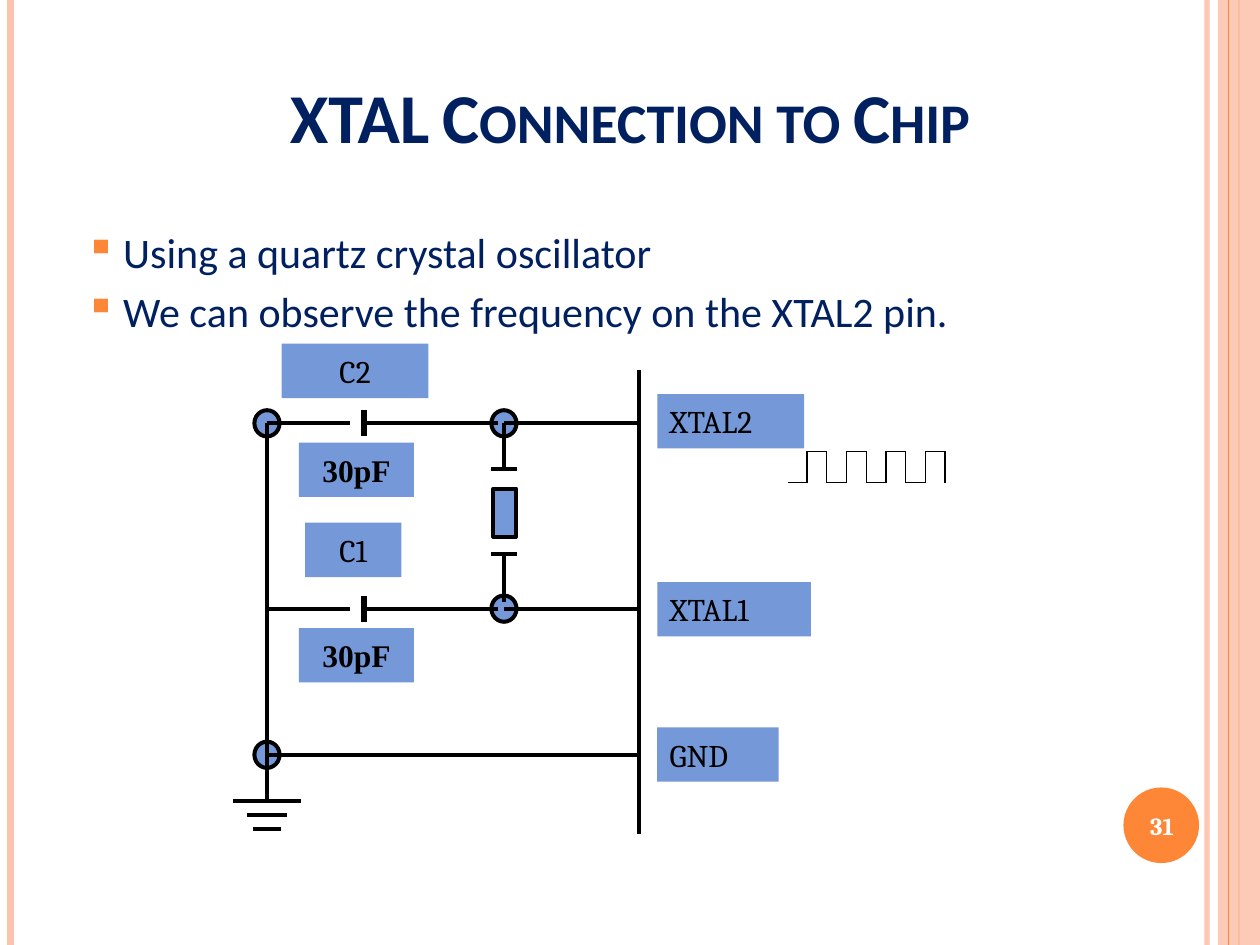
import pptx
import pptx.util
import pptx.dml.color
import pptx.enum.shapes
import pptx.enum.text
import pptx.oxml
import pptx.oxml.ns

Pt = pptx.util.Pt
KIND = pptx.enum.shapes.MSO_SHAPE
ALIGN = pptx.enum.text.PP_ALIGN
ANCHOR = pptx.enum.text.MSO_ANCHOR
BLACK, BLUE, NAVY = "000000", "7598D9", "002060"
ORANGE, PEACH = "FE8637", "FEC3AE"


def tint(target, code, alpha=None):
    """Set a colour on a fill or font, with an optional opacity in percent."""
    if hasattr(target, "solid"):
        target.solid()
        color = target.fore_color
    else:
        color = target.color
    color.rgb = pptx.dml.color.RGBColor.from_string(code)
    if alpha:
        node = target._xPr.find(".//" + pptx.oxml.ns.qn("a:srgbClr"))
        child(node, f'<a:alpha {{ns}} val="{alpha * 1000}"/>')


def child(parent, xml):
    """Append a drawing element written as XML with a namespace slot."""
    parent.append(pptx.oxml.parse_xml(xml.format(ns=pptx.oxml.ns.nsdecls("a"))))


def wire(shapes, start, end, code=BLACK, width=2.3, alpha=None):
    """Draw a straight line between two points."""
    line = shapes.add_connector(
        pptx.enum.shapes.MSO_CONNECTOR.STRAIGHT,
        *(Pt(v) for v in (*start, *end)))
    line.line.width = Pt(width)
    tint(line.line.fill, code, alpha)
    child(line._element.spPr, "<a:effectLst {ns}/>")


def block(shapes, kind, box, code, edge=None, alpha=None):
    """Add a filled shape, with a black outline of the given width if any."""
    shape = shapes.add_shape(kind, *(Pt(v) for v in box))
    shape.shadow.inherit = False
    tint(shape.fill, code, alpha)
    if edge:
        tint(shape.line.fill, BLACK)
        shape.line.width = Pt(edge)
    else:
        shape.line.fill.background()
    return shape


def write(shape, *lines, size=18, face="Cambria", code=BLACK, bold=False,
          align=ALIGN.LEFT, anchor=ANCHOR.MIDDLE, small=False, bullet=None):
    """Fill a shape with paragraphs in one format."""
    frame = shape.text_frame
    frame.word_wrap = True
    frame.vertical_anchor = anchor
    for i, text in enumerate(lines):
        para = frame.add_paragraph() if i else frame.paragraphs[0]
        para.alignment = align
        if i:
            para.space_before = Pt(size * 0.2)
        if bullet:
            props = para._p.get_or_add_pPr()
            props.set("marL", str(Pt(27.36)))
            props.set("indent", str(Pt(-21.6)))
            child(props, f'<a:buClr {{ns}}><a:srgbClr val="{ORANGE}"/></a:buClr>')
            child(props, f'<a:buChar {{ns}} char="{bullet}"/>')
        run = para.add_run()
        run.text = text
        font = run.font
        font.size, font.name, font.bold = Pt(size), face, bold
        tint(font.fill, code)
        if small:
            run._r.get_or_add_rPr().set("cap", "small")


def words(shapes, box, *lines, **style):
    """Add a text box."""
    write(shapes.add_textbox(*(Pt(v) for v in box)), *lines, **style)


def frame(shapes):
    """Draw the side stripes and the number disc."""
    wire(shapes, (689.8, 0), (689.8, 540), PEACH, 3, 93)
    wire(shapes, (6, 0), (6, 540), PEACH, 4.5)
    wire(shapes, (708, 0), (708, 540), ORANGE, 1.5)
    block(shapes, KIND.RECTANGLE, (696, 0, 24, 540), PEACH, alpha=87)
    wire(shapes, (702, 0), (702, 540), ORANGE, 0.75)
    block(shapes, KIND.OVAL, (642, 450, 43.2, 43.2), ORANGE)


def circuit(shapes):
    """Draw the crystal, both capacitors, the ground and their labels."""
    left, mid, right = 152.6, 288, 365
    top, low, ground = 241.9, 347.8, 431.3
    for x, y in ((left, top), (mid, top), (mid, low), (left, ground)):
        block(shapes, KIND.OVAL, (x - 7.2, y - 7.5, 14.4, 15), BLUE, 2.3)
    for y in (top, low):
        wire(shapes, (208.1, y - 7.5), (208.1, y + 7.5), width=3.2)
        for start, end in ((left, 200.2), (207.4, 284.4), (mid, right)):
            wire(shapes, (start, y), (end, y))
    wire(shapes, (left, top), (left, 457.2))
    wire(shapes, (left, ground), (right, ground))
    wire(shapes, (right, 211.7), (right, 476.6))
    for plate, start, end in ((267.8, top, 268.6), (316.8, 317.5, 344.2)):
        wire(shapes, (280.8, plate), (295.2, plate))
        wire(shapes, (mid, start), (mid, end))
    block(shapes, KIND.RECTANGLE, (282, 279.2, 13, 27.4), BLUE, 2.3)
    for i, half in enumerate((19.4, 11.6, 7.9)):
        y = 457.8 + 8 * i
        wire(shapes, (left - half, y), (left + half, y), width=2.25)
    labels = (
        ("C2", 160.9, 196.4, 84, ALIGN.CENTER),
        ("30pF", 170.8, 252.9, 65.8, ALIGN.CENTER),
        ("C1", 174.4, 298.7, 55, ALIGN.CENTER),
        ("30pF", 170.8, 358.9, 65.8, ALIGN.CENTER),
        ("XTAL2", 375.6, 225.2, 84, ALIGN.LEFT),
        ("XTAL1", 375.6, 332.6, 87.8, ALIGN.LEFT),
        ("GND", 375.6, 415.6, 69.4, ALIGN.LEFT),
    )
    for text, x, y, width, align in labels:
        value = text == "30pF"
        tag = block(shapes, KIND.RECTANGLE, (x, y, width, 31.1), BLUE)
        write(tag, text, align=align, bold=value,
              face="Times New Roman" if value else "Cambria")


def wave(shapes):
    """Draw the square wave as alternate low and high steps."""
    left, step, high, low = 450, 11.25, 257.9, 275.9
    for i in range(8):
        x, y = left + i * step, high if i % 2 else low
        wire(shapes, (x, y), (x + step, y), width=0.75)
        wire(shapes, (x + step, high), (x + step, low), width=0.75)


def main():
    """Build and save the slide."""
    deck = pptx.Presentation()
    deck.slide_width, deck.slide_height = Pt(720), Pt(540)
    shapes = deck.slides.add_slide(deck.slide_layouts[6]).shapes
    frame(shapes)
    words(shapes, (36, 37.4, 648, 56.9), "XTAL Connection to Chip", size=40,
          face="Calibri", code=NAVY, bold=True, align=ALIGN.CENTER, small=True)
    circuit(shapes.add_group_shape().shapes)
    words(shapes, (36, 126, 648, 356.4), "Using a quartz crystal oscillator",
          "We can observe the frequency on the XTAL2 pin.", size=24,
          face="Calibri", code=NAVY, anchor=ANCHOR.TOP, bullet="▪")
    wave(shapes.add_group_shape().shapes)
    words(shapes, (640, 451.4, 48, 41), "31", size=14, code="FFFFFF",
          bold=True, align=ALIGN.CENTER)
    deck.save("out.pptx")


if __name__ == "__main__":
    main()
